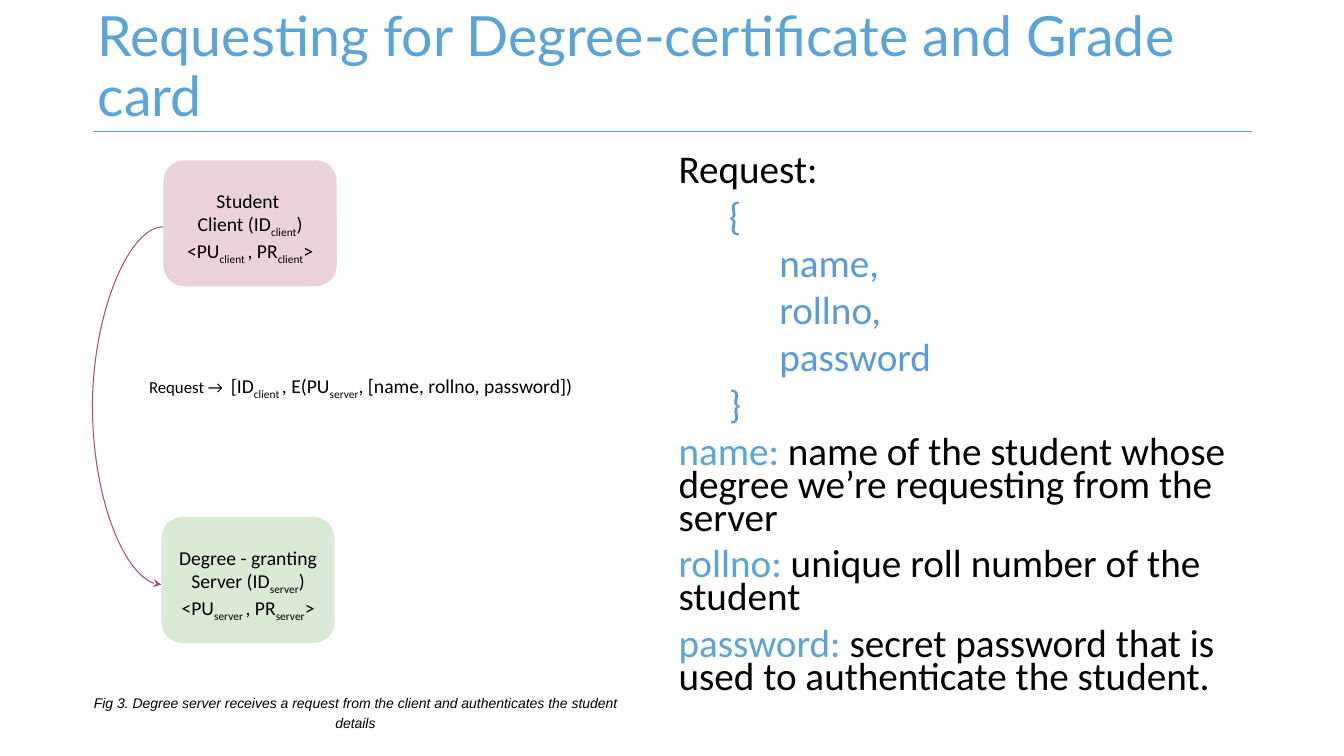
"""Builds the slide on requesting a degree certificate and grade card."""
from lxml.etree import SubElement
from pptx import Presentation
from pptx.dml.color import RGBColor
from pptx.enum.shapes import MSO_CONNECTOR as Link, MSO_SHAPE as Preset
from pptx.enum.text import MSO_ANCHOR as Anchor, MSO_AUTO_SIZE as Fit, PP_ALIGN as Align
from pptx.oxml.ns import qn
from pptx.util import Inches, Pt

BLUE, CODE_BLUE, BLACK = "5AA4D8", "5B9BD5", "000000"


def color(value):
    """Turn a hex string into a colour."""
    return RGBColor.from_string(value)


def add_span(para, text, size, font, fill, italic=False, subscript=False):
    """Append one formatted span to a paragraph."""
    span = para.add_run()
    span.text = text
    span.font.size, span.font.name, span.font.italic = Pt(size), font, italic
    span.font.color.rgb = color(fill)
    if subscript:
        span.font._element.set("baseline", "-25000")


def add_text(page, place, paras, size=14, font="Calibri", fill=BLACK, italic=False,
             align=Align.LEFT, anchor=Anchor.TOP, inset=0.1, spacing=1.0, before=0,
             grow=False):
    """Add a text box; paras hold (indent, spans), and _marks_ set subscripts."""
    box = page.shapes.add_textbox(*map(Inches, place))
    frame = box.text_frame
    frame.word_wrap = True
    frame.auto_size = Fit.SHAPE_TO_FIT_TEXT if grow else Fit.NONE
    frame.vertical_anchor = anchor
    frame.margin_left = frame.margin_right = Inches(inset)
    frame.margin_top = frame.margin_bottom = Inches(inset)
    for number, (indent, spans) in enumerate(paras):
        para = frame.add_paragraph() if number else frame.paragraphs[0]
        para.alignment, para.line_spacing = align, spacing
        para.space_before = Pt(before)
        if indent:
            props = para._p.get_or_add_pPr()
            props.set("marL", str(Inches(indent)))
            props.set("indent", "0")
        for text, changes in spans:
            style = {"size": size, "font": font, "fill": fill, "italic": italic, **changes}
            for part, piece in enumerate(text.split("_")):
                if piece:
                    add_span(para, piece, subscript=part % 2 == 1, **style)


def plain(*lines, indent=0, **changes):
    """Make one single-span paragraph for each line."""
    return [(indent, [(line, changes)]) for line in lines]


def add_node(page, left, top, fill, lines):
    """Add a rounded party box with its centred label."""
    width, height = 1.72, 1.25
    node = page.shapes.add_shape(Preset.ROUNDED_RECTANGLE,
                                 *map(Inches, (left, top, width, height)))
    node.shadow.inherit = False
    node.fill.solid()
    node.fill.fore_color.rgb = color(fill)
    node.line.fill.background()
    add_text(page, (left, top + 0.04, width, height), plain(*lines),
             align=Align.CENTER, anchor=Anchor.MIDDLE)


def add_line(page, start, end, fill, kind=Link.STRAIGHT):
    """Add a thin connector without a shadow."""
    line = page.shapes.add_connector(kind, *map(Inches, start + end))
    line.line.color.rgb = color(fill)
    line.line.width = Pt(0.75)
    SubElement(line._element.spPr, qn("a:effectLst"))
    return line


def add_curved_arrow(page, start, end, reach, fill):
    """Add a curved arrow that swings out to the left as far as reach."""
    arrow = add_line(page, start, end, fill, Link.CURVE)
    bend = round((start[0] - reach) / (start[0] - end[0]) * 100000)
    values = arrow._element.spPr.find(qn("a:prstGeom")).find(qn("a:avLst"))
    SubElement(values, qn("a:gd"), name="adj1", fmla=f"val {bend}")
    SubElement(arrow.line._get_or_add_ln(), qn("a:tailEnd"), type="stealth")


def main():
    """Build and save the deck."""
    deck = Presentation()
    deck.slide_width, deck.slide_height = Inches(13.33), Inches(7.5)
    page = deck.slides.add_slide(deck.slide_layouts[6])

    add_line(page, (0.92, 1.3), (12.42, 1.3), "5AA4D8")
    add_text(page, (0.92, 0.23, 11.5, 0.9),
             plain("Requesting for Degree-certificate and Grade card"),
             size=39.6, font="Lato", fill=BLUE, anchor=Anchor.MIDDLE, inset=0.05, spacing=0.9)

    fields = (("name:", " name of the student whose degree we’re requesting from the server"),
              ("rollno:", " unique roll number of the student"),
              ("password:", " secret password that is used to authenticate the student."))
    request = plain("Request:")
    request += plain("{", "\tname, ", "\trollno,", "\tpassword", "}", indent=0.5, fill=CODE_BLUE)
    request += [(0, [(field, {"fill": BLUE}), (meaning, {})]) for field, meaning in fields]
    add_text(page, (6.68, 1.51, 5.74, 5.7), request, size=28, inset=0.05, spacing=0.7, before=10)

    add_text(page, (0.73, 6.77, 5.59, 0.56),
             plain("Fig 3. Degree server receives a request from the client"
                   " and authenticates the student details"),
             size=10, font="Arial", italic=True, align=Align.CENTER, spacing=1.15, grow=True)

    add_node(page, 1.62, 1.59, "EAD1DC",
             ("Student ", "Client (ID_client_)", "<PU_client _, PR_client_>"))
    add_curved_arrow(page, (1.62, 2.25), (1.6, 5.8), 0.92, "A64D79")
    message = [("Request →  ", {"size": 12}),
               ("[ID_client _, E(PU_server_, [name, rollno, password])", {})]
    add_text(page, (1.38, 3.61, 4.65, 0.44), [(0, message)], grow=True)
    add_node(page, 1.6, 5.13, "D9EAD3",
             ("Degree - granting", "Server (ID_server_)", "<PU_server _, PR_server_>"))
    deck.save("out.pptx")


main()
